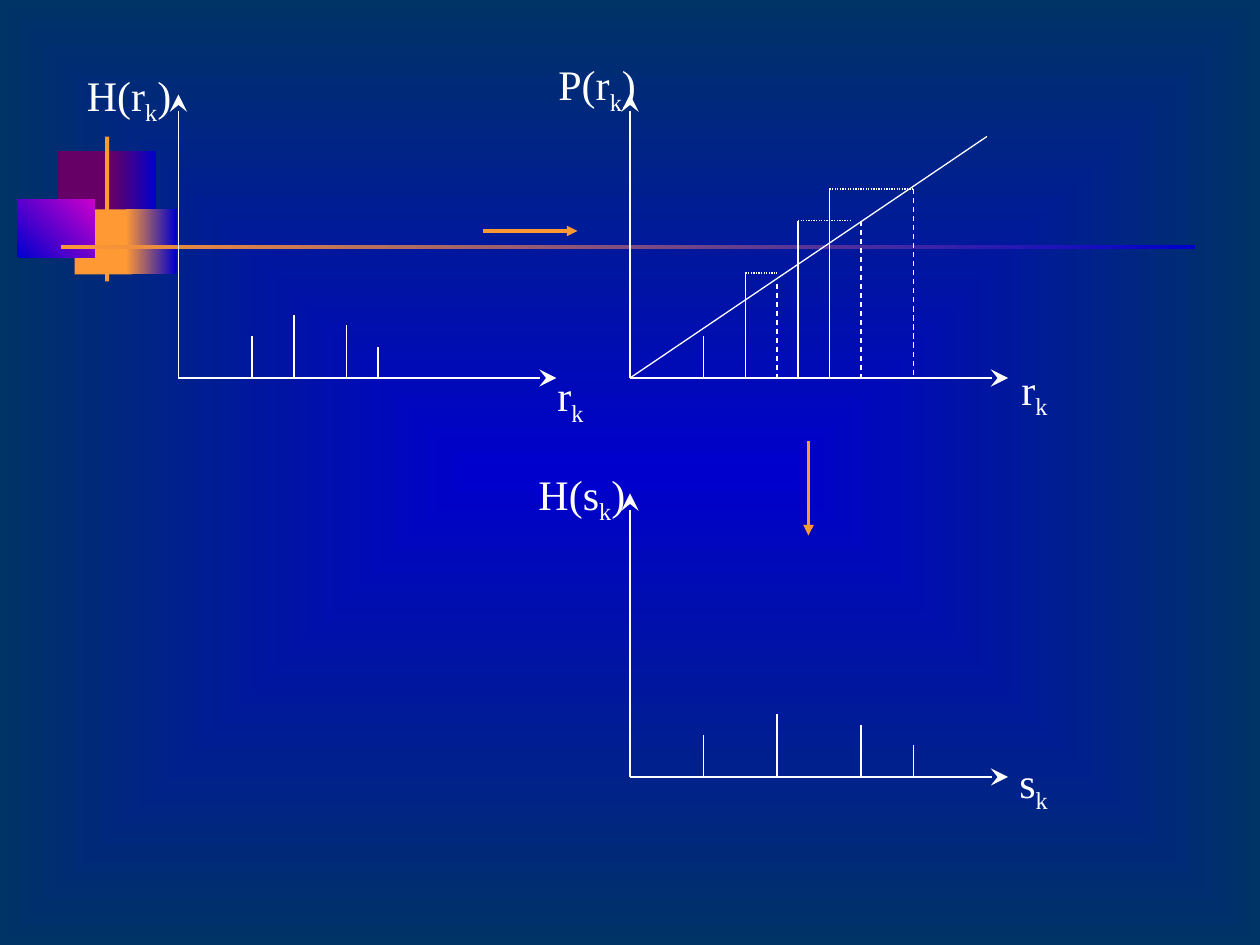
import pptx
import pptx.dml.color
import pptx.enum.dml
import pptx.enum.shapes
import pptx.enum.text
import pptx.oxml.ns
import pptx.util
from lxml import etree

qn = pptx.oxml.ns.qn
DASH = pptx.enum.dml.MSO_LINE.DASH
DOT = pptx.enum.dml.MSO_LINE.ROUND_DOT
THEME = {
    "blue": "0000CC", "navy": "003366", "plum": "660066", "orange": "FF9933",
    "magenta": "CC00CC", "white": "FFFFFF",
    "font": "Times New Roman", "size": 24, "thin": 0.75, "thick": 2,
}

# The slide is a grid of 120 columns by 90 rows
COLUMNS = 120
presentation = pptx.Presentation()
presentation.slide_width = pptx.util.Inches(10)
presentation.slide_height = pptx.util.Inches(7.5)
CELL = presentation.slide_width / COLUMNS
slide = presentation.slides.add_slide(presentation.slide_layouts[6])


def paint(fill, colors, angle=0):
    """Fill with one colour, or with a gradient of two."""
    if len(colors) == 1:
        fill.solid()
        fill.fore_color.rgb = pptx.dml.color.RGBColor.from_string(THEME[colors[0]])
        return
    fill.gradient()
    fill.gradient_angle = angle
    for stop, color, position in zip(fill.gradient_stops, colors, (0, 1)):
        stop.color.rgb = pptx.dml.color.RGBColor.from_string(THEME[color])
        stop.position = position


def draw_line(shapes, x1, y1, x2, y2, color="white", width="thin", dash=None, arrow=None, arrow_size="med"):
    """Draw a straight line between two grid points."""
    ends = [round(value * CELL) for value in (x1, y1, x2, y2)]
    connector = shapes.add_connector(pptx.enum.shapes.MSO_CONNECTOR.STRAIGHT, *ends)
    paint(connector.line.fill, [color])
    connector.line.width = pptx.util.Pt(THEME[width])
    if dash:
        connector.line.dash_style = dash
    if arrow:
        outline = connector.element.find(".//" + qn("a:ln"))
        etree.SubElement(outline, qn("a:tailEnd"), type=arrow, w=arrow_size, len=arrow_size)
    etree.SubElement(connector.element.find(qn("p:spPr")), qn("a:effectLst"))


# Background: rectangular gradient from the centre outwards
paint(slide.background.fill, ["blue", "navy"])
gradient = slide.element.find(".//" + qn("a:gradFill"))
gradient.remove(gradient.find(qn("a:lin")))
gradient_shape = etree.Element(qn("a:path"), path="rect")
etree.SubElement(gradient_shape, qn("a:fillToRect"), l="50000", t="50000", r="50000", b="50000")
gradient.find(qn("a:gsLst")).addnext(gradient_shape)

# Ornament: overlapping blocks with a vertical and a horizontal bar
for left, top, width, height, colors, angle in [
    (5.5, 14.4, 5.8, 6.2, ["plum"], 0),
    (10.6, 14.4, 4.3, 6.2, ["plum", "blue"], 0),
    (7.1, 19.95, 5.5, 6.2, ["orange"], 0),
    (12, 19.95, 4.8, 6.2, ["orange", "blue"], 0),
    (1.65, 19, 7.4, 5.5, ["blue", "magenta"], 45),
    (10, 13, 0.4, 13.8, ["orange"], 0),
    (5.8, 23.35, 108, 0.4, ["orange", "blue"], 0),
]:
    box = [round(value * CELL) for value in (left, top, width, height)]
    block = slide.shapes.add_shape(pptx.enum.shapes.MSO_SHAPE.RECTANGLE, *box)
    block.shadow.inherit = False
    block.line.fill.background()
    paint(block.fill, colors, angle)

# Plots: axes and bars, each bar as (offset, height) from the origin
input_group = slide.shapes.add_group_shape()
transform_group = slide.shapes.add_group_shape()
ORIGIN_X, ORIGIN_Y = 60, 36
for shapes, x, y, bars in [
    (input_group.shapes, 17, 36, [(7, 4), (11, 6), (16, 5), (19, 3)]),
    (transform_group.shapes, ORIGIN_X, ORIGIN_Y, [(7, 4), (11, 10), (16, 15), (19, 18)]),
    (slide.shapes, 60, 74, [(7, 4), (14, 6), (22, 5), (27, 3)]),
]:
    draw_line(shapes, x, y, x, y - 27, arrow="stealth", arrow_size="lg")
    draw_line(shapes, x, y, x + 36, y, arrow="stealth", arrow_size="lg")
    for offset, height in bars:
        draw_line(shapes, x + offset, y - height, x + offset, y)

# Transform: diagonal, dotted levels and dashed drops
draw_line(transform_group.shapes, ORIGIN_X, ORIGIN_Y, ORIGIN_X + 34, ORIGIN_Y - 23)
for start, end, height in [(11, 14, 10), (16, 21, 15), (19, 27, 18)]:
    level = ORIGIN_Y - height
    draw_line(transform_group.shapes, ORIGIN_X + start, level, ORIGIN_X + end, level, dash=DOT)
for offset, height in [(14, 9), (22, 15), (27, 18)]:
    x = ORIGIN_X + offset
    draw_line(transform_group.shapes, x, ORIGIN_Y - height, x, ORIGIN_Y, dash=DASH)

# Step arrows
draw_line(slide.shapes, 46, 22, 55, 22, "orange", "thick", arrow="triangle")
draw_line(slide.shapes, 77, 42, 77, 51, "orange", "thick", arrow="triangle")

# Axis labels with a subscript k, in boxes a little wider than their text
for left, top, width, wrap, runs in [
    (7.1, 6, 11, False, ["H(r", "k", ")"]),
    (51.9, 34.6, 5.4, False, ["r", "k"]),
    (52, 5, 10, True, ["P(r", "k", ")"]),
    (96.1, 34, 5.4, False, ["r", "k"]),
    (50.1, 44, 11.2, False, ["H(s", "k", ")"]),
    (95.9, 71.5, 5.6, False, ["s", "k"]),
]:
    box = [round(value * CELL) for value in (left, top, width, 6.7)]
    label = slide.shapes.add_textbox(*box)
    label.text_frame.word_wrap = wrap
    label.text_frame.auto_size = pptx.enum.text.MSO_AUTO_SIZE.SHAPE_TO_FIT_TEXT
    paragraph = label.text_frame.paragraphs[0]
    for text in runs:
        run = paragraph.add_run()
        run.text = text
        run.font.name = THEME["font"]
        run.font.size = pptx.util.Pt(THEME["size"])
        paint(run.font.fill, ["white"])
    label.element.findall(".//" + qn("a:rPr"))[1].set("baseline", "-25000")

presentation.save("out.pptx")
